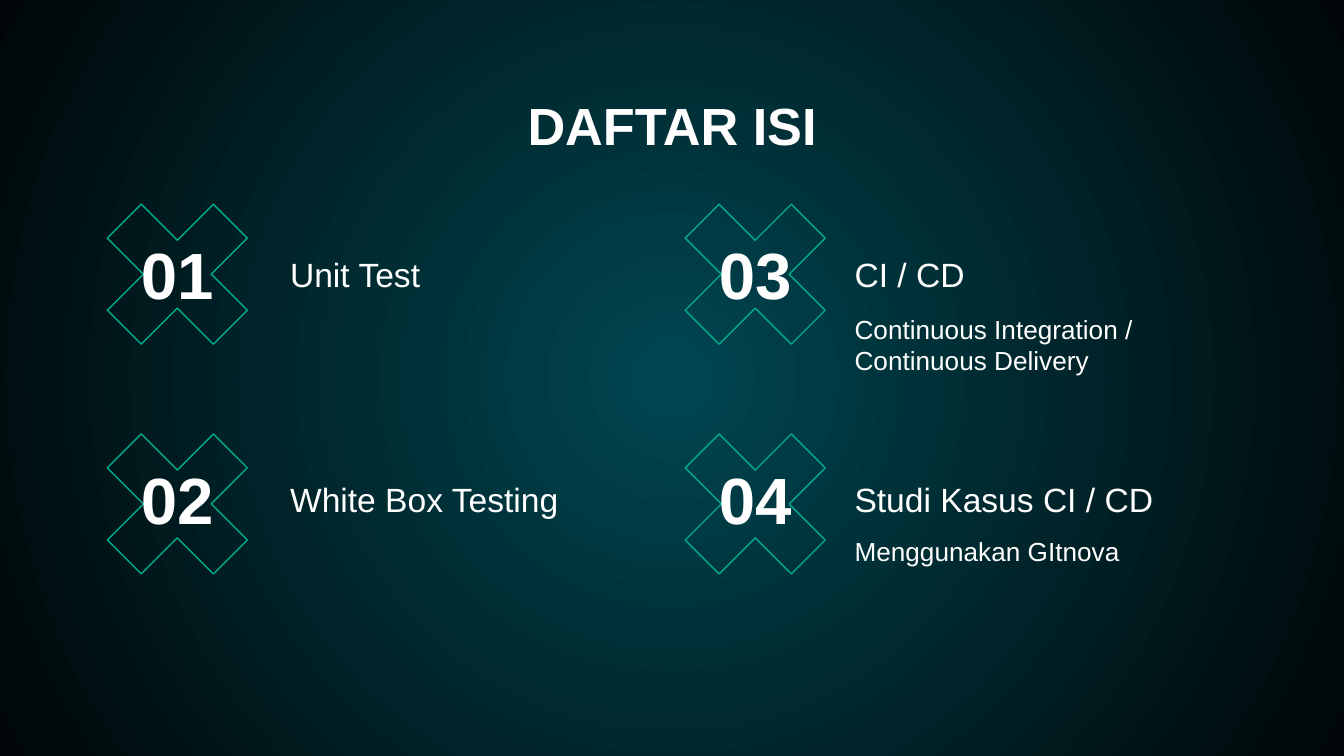
from dataclasses import dataclass

from lxml import etree
from pptx import Presentation
from pptx import util as u
from pptx.dml.color import RGBColor
from pptx.enum import shapes, text
from pptx.oxml import ns


@dataclass(frozen=True)
class Theme:
    font: str = "Arial"
    ink: str = "FFFFFF"
    accent: str = "00AB8D"
    glow: str = "004651"
    edge: str = "000607"
    title_size: int = 28
    number_size: int = 35
    label_size: int = 18
    detail_size: int = 14
    inset: float = 7.2


def write(box, lines, theme, size, bold=False,
          align=text.PP_ALIGN.LEFT, anchor=text.MSO_ANCHOR.TOP):
    frame = box.text_frame
    frame.word_wrap = True
    frame.auto_size = text.MSO_AUTO_SIZE.NONE
    frame.vertical_anchor = anchor
    frame.margin_left = frame.margin_right = u.Pt(theme.inset)
    frame.margin_top = frame.margin_bottom = u.Pt(theme.inset)
    for index, line in enumerate(lines):
        para = frame.add_paragraph() if index else frame.paragraphs[0]
        para.alignment = align
        span = para.add_run()
        span.text = line
        span.font.name = theme.font
        span.font.size = u.Pt(size)
        span.font.bold = bold
        span.font.color.rgb = RGBColor.from_string(theme.ink)


class Painter:
    def __init__(self, page, theme):
        self.page = page
        self.theme = theme

    def background(self):
        """Fill the page with a circular gradient that starts at its centre."""
        fill = self.page.background.fill
        fill.gradient()
        for stop, color in zip(fill.gradient_stops, (self.theme.glow, self.theme.edge)):
            stop.color.rgb = RGBColor.from_string(color)
        gradient = self.page.element.xpath(".//p:bg//a:gradFill")[0]
        gradient.remove(gradient.find(ns.qn("a:lin")))
        circle = etree.SubElement(gradient, ns.qn("a:path"), path="circle")
        etree.SubElement(circle, ns.qn("a:fillToRect"),
                         dict.fromkeys("ltrb", "50000"))

    def title(self, words, left, top, width, height):
        box = self.page.shapes.title
        box.left, box.top = u.Pt(left), u.Pt(top)
        box.width, box.height = u.Pt(width), u.Pt(height)
        write(box, [words], self.theme, self.theme.title_size, bold=True,
              align=text.PP_ALIGN.CENTER)

    def cross(self, left, top, size):
        shape = self.page.shapes.add_shape(
            shapes.MSO_SHAPE.MATH_MULTIPLY,
            u.Pt(left), u.Pt(top), u.Pt(size), u.Pt(size))
        shape.adjustments[0] = 0.235
        shape.shadow.inherit = False
        shape.fill.background()
        shape.line.color.rgb = RGBColor.from_string(self.theme.accent)
        shape.line.width = u.Pt(0.75)

    def text(self, lines, left, top, width, height, size, **style):
        box = self.page.shapes.add_textbox(
            u.Pt(left), u.Pt(top), u.Pt(width), u.Pt(height))
        write(box, lines, self.theme, size, **style)


CROSS_LEFTS = (40.3, 349.9)
TEXT_LEFTS = (148.3, 450.7)
CROSS_TOPS = (92.2, 215.3)
NUMBER_TOPS = (128.9, 249.1)
DETAIL_TOPS = (160.6, 279.4)
CROSS_SIZE = 109.4
NUMBER_WIDTH = 67.7
TEXT_WIDTH = 203

# Entries run down the left column, then down the right one.
ENTRIES = [
    ("Unit Test", []),
    ("White Box Testing", []),
    ("CI / CD", ["Continuous Integration /", "Continuous Delivery"]),
    ("Studi Kasus CI / CD", ["Menggunakan GItnova"]),
]


def main():
    deck = Presentation()
    deck.slide_width, deck.slide_height = u.Pt(720), u.Pt(405)
    theme = Theme()
    painter = Painter(deck.slides.add_slide(deck.slide_layouts[5]), theme)
    painter.background()
    painter.title("DAFTAR ISI", 56.2, 42.5, 607.6, 45.4)

    for index, (label, details) in enumerate(ENTRIES):
        column, row = divmod(index, 2)
        cross_left, text_left = CROSS_LEFTS[column], TEXT_LEFTS[column]
        number_top = NUMBER_TOPS[row]
        painter.cross(cross_left, CROSS_TOPS[row], CROSS_SIZE)
        painter.text([f"{index + 1:02}"],
                     cross_left + (CROSS_SIZE - NUMBER_WIDTH) / 2, number_top,
                     NUMBER_WIDTH, 35.3, theme.number_size, bold=True,
                     align=text.PP_ALIGN.CENTER, anchor=text.MSO_ANCHOR.MIDDLE)
        painter.text([label], text_left, number_top + 6.5, TEXT_WIDTH, 29.5,
                     theme.label_size, anchor=text.MSO_ANCHOR.BOTTOM)
        if details:
            painter.text(details, text_left, DETAIL_TOPS[row], TEXT_WIDTH, 41.8,
                         theme.detail_size)

    deck.save("out.pptx")


if __name__ == "__main__":
    main()
